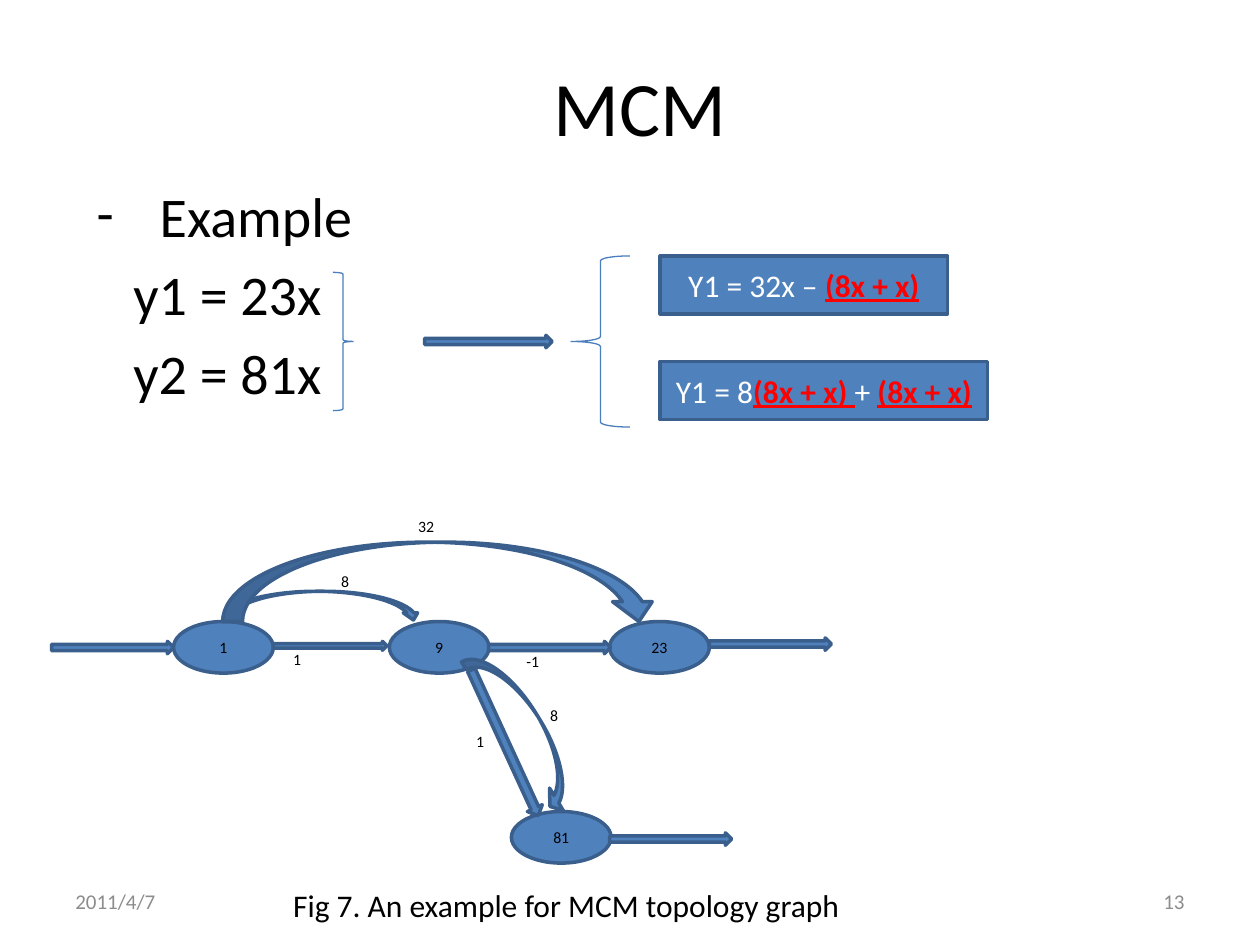
from lxml import etree
from pptx import Presentation
from pptx.dml.color import RGBColor
from pptx.enum.shapes import MSO_SHAPE
from pptx.enum.text import MSO_ANCHOR, PP_ALIGN
from pptx.oxml.ns import qn
from pptx.util import Cm, Pt

BLACK = RGBColor(0x00, 0x00, 0x00)
WHITE = RGBColor(0xFF, 0xFF, 0xFF)
RED = RGBColor(0xFF, 0x00, 0x00)
GRAY = RGBColor(0x8C, 0x8C, 0x8C)
BLUE = RGBColor(0x4F, 0x81, 0xBD)
DARK_BLUE = RGBColor(0x3A, 0x5F, 0x8C)
BRACE_BLUE = RGBColor(0x4B, 0x7E, 0xBC)
FONT = "Calibri"

LEFT, CENTER, RIGHT = PP_ALIGN.LEFT, PP_ALIGN.CENTER, PP_ALIGN.RIGHT
TOP, MIDDLE = MSO_ANCHOR.TOP, MSO_ANCHOR.MIDDLE
RECT, OVAL = MSO_SHAPE.RECTANGLE, MSO_SHAPE.OVAL
ARROW = MSO_SHAPE.RIGHT_ARROW
CURVED_DOWN = MSO_SHAPE.CURVED_DOWN_ARROW
CURVED_LEFT = MSO_SHAPE.CURVED_LEFT_ARROW
LEFT_BRACE, RIGHT_BRACE = MSO_SHAPE.LEFT_BRACE, MSO_SHAPE.RIGHT_BRACE


def add_run(p, text, size, color=BLACK, strong=False):
    """Add a run; a strong one is bold and underlined."""
    r = p.add_run()
    r.text = text
    r.font.name = FONT
    r.font.size = Pt(size)
    r.font.color.rgb = color
    if strong:
        r.font.bold = True
        r.font.underline = True


def add_text(s, text, x, y, w, h, size, color=BLACK, align=LEFT, anchor=TOP):
    tf = s.shapes.add_textbox(Cm(x), Cm(y), Cm(w), Cm(h)).text_frame
    tf.word_wrap = True
    tf.vertical_anchor = anchor
    p = tf.paragraphs[0]
    p.alignment = align
    add_run(p, text, size, color)


def add_solid(s, kind, x, y, w, h, rotation=0):
    sp = s.shapes.add_shape(kind, Cm(x), Cm(y), Cm(w), Cm(h))
    sp.shadow.inherit = False
    sp.fill.solid()
    sp.fill.fore_color.rgb = BLUE
    sp.line.color.rgb = DARK_BLUE
    sp.line.width = Pt(2)
    sp.rotation = rotation
    return sp


def add_brace(s, kind, x, y, w, h):
    sp = s.shapes.add_shape(kind, Cm(x), Cm(y), Cm(w), Cm(h))
    sp.shadow.inherit = False
    sp.fill.background()
    sp.line.color.rgb = BRACE_BLUE
    sp.line.width = Pt(0.75)


def fill_label(sp, size, runs):
    tf = sp.text_frame
    tf.word_wrap = True
    tf.vertical_anchor = MIDDLE
    p = tf.paragraphs[0]
    p.alignment = CENTER
    for text, color, strong in runs:
        add_run(p, text, size, color, strong)


def add_example(s, x, y, w, h):
    tf = s.shapes.add_textbox(Cm(x), Cm(y), Cm(w), Cm(h)).text_frame
    tf.word_wrap = True
    p = tf.paragraphs[0]
    pPr = p._p.get_or_add_pPr()
    pPr.set("marL", str(Cm(1.27)))
    pPr.set("indent", str(-Cm(1.27)))
    etree.SubElement(pPr, qn("a:buFont")).set("typeface", FONT)
    etree.SubElement(pPr, qn("a:buChar")).set("char", "-")
    add_run(p, "Example", 32)
    for equation in ("y1 = 23x", "y2 = 81x"):
        p = tf.add_paragraph()
        p.space_before = Pt(6.4)
        p._p.get_or_add_pPr().set("marL", str(Cm(0.74)))
        add_run(p, equation, 32)


def add_rewriting(s, x, y):
    """Braces, arrow and the two equations with their shared term."""
    shared = ("(8x + x)", RED, True)
    add_brace(s, RIGHT_BRACE, x, y + 0.33, 0.41, 2.79)
    add_solid(s, ARROW, x + 1.85, y + 1.6, 2.57, 0.25)
    add_brace(s, LEFT_BRACE, x + 4.8, y, 1.19, 3.45)
    equations = [
        (0, 5.79, [("Y1 = 32x – ", WHITE, False), shared]),
        (2.13, 6.6, [("Y1 = 8", WHITE, False), ("(8x + x) ", RED, True),
                     ("+ ", WHITE, False), shared]),
    ]
    for dy, w, runs in equations:
        fill_label(add_solid(s, RECT, x + 6.6, y + dy, w, 1.17), 18, runs)


def add_graph(s, x, y):
    nodes = [("1", 2.46, 2.24), ("9", 6.81, 2.24),
             ("23", 11.25, 2.24), ("81", 9.27, 6.07)]
    for text, dx, dy in nodes:
        node = add_solid(s, OVAL, x + dx, y + dy, 2.01, 1.04)
        fill_label(node, 9, [(text, BLACK, False)])

    add_solid(s, CURVED_DOWN, x + 3.45, y + 1.63, 3.99, 0.58)
    add_solid(s, CURVED_DOWN, x + 3.45, y + 0.64, 8.79, 1.6)
    curve = add_solid(s, CURVED_LEFT, x + 9.17, y + 2.59, 0.74, 3.68, 328.5)
    curve.adjustments[1] = 0.716

    edges = [(4.47, 2.64, 2.29, 0.18, 0), (8.81, 2.64, 2.46, 0.25, 0),
             (13.26, 2.57, 2.46, 0.25, 0), (0, 2.64, 2.46, 0.25, 0),
             (11.25, 6.5, 2.46, 0.25, 0), (7.52, 4.52, 3.23, 0.33, 65.3)]
    for dx, dy, w, h, rotation in edges:
        add_solid(s, ARROW, x + dx, y + dy, w, h, rotation)

    weights = [("32", 7.14, 0), ("8", 5.59, 1.12), ("1", 4.62, 2.69),
               ("-1", 9.32, 2.72), ("8", 9.8, 3.81), ("1", 8.31, 4.34)]
    for text, dx, dy in weights:
        add_text(s, text, x + dx, y + dy, 2.46, 0.64, 9)


def add_footer(s, x, y, w, h):
    field = 5.92
    add_text(s, "2011/4/7", x, y, field, h, 12, GRAY, LEFT, MIDDLE)
    add_text(s, "13", x + w - field, y, field, h, 12, GRAY, RIGHT, MIDDLE)


def main():
    prs = Presentation()
    prs.slide_width, prs.slide_height = Cm(25.4), Cm(19.05)
    s = prs.slides.add_slide(prs.slide_layouts[6])
    add_text(s, "MCM", 2.11, 0.74, 21.59, 2.79, 44, BLACK, CENTER, MIDDLE)
    add_example(s, 1.7, 3.53, 22.2, 11.81)
    add_footer(s, 1.27, 17.65, 22.86, 1.02)
    add_rewriting(s, 6.71, 5.16)
    add_graph(s, 1.04, 10.29)
    add_text(s, "Fig 7. An example for MCM topology graph",
             5.66, 17.73, 11.99, 1.02, 18)
    prs.save("out.pptx")


if __name__ == "__main__":
    main()
